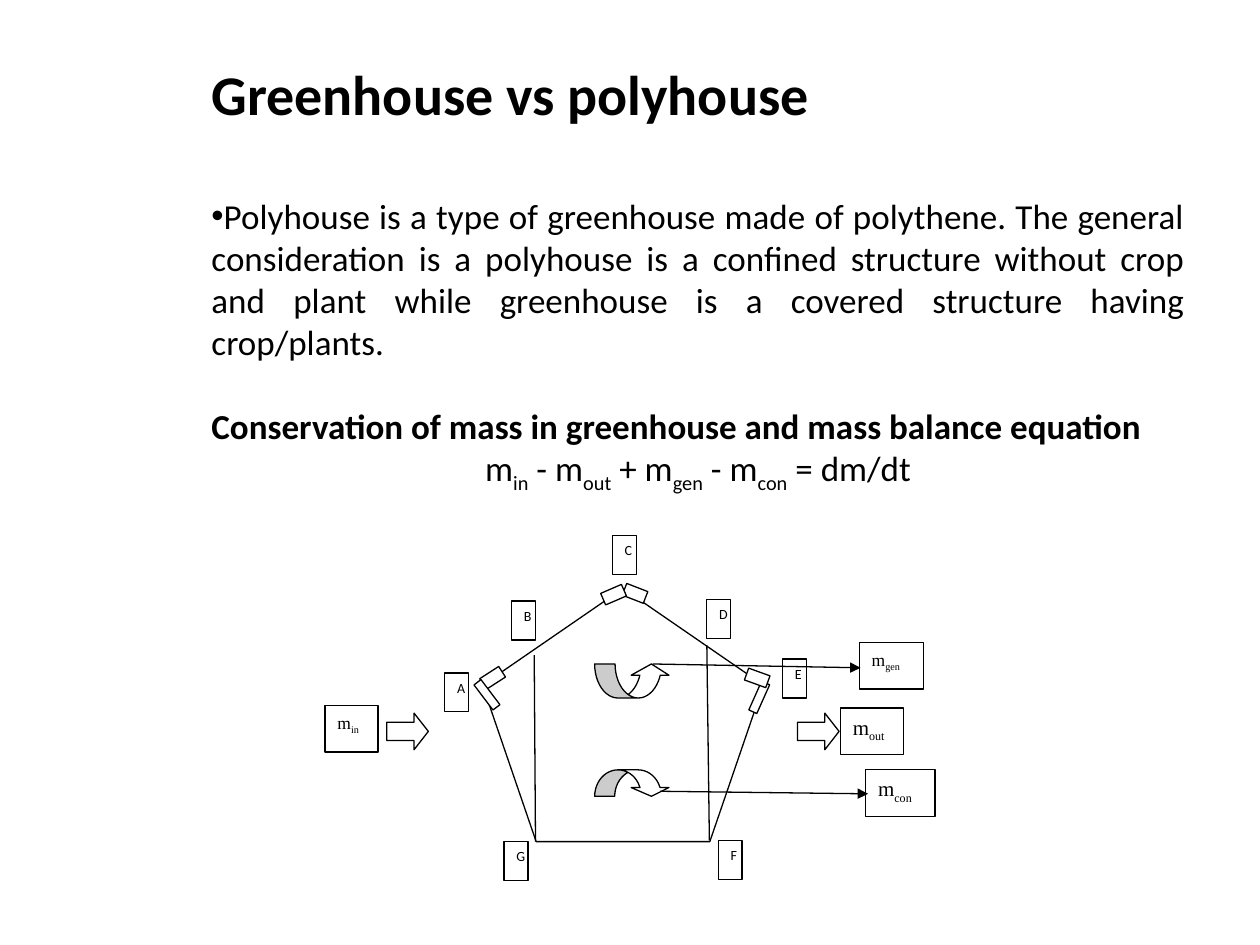
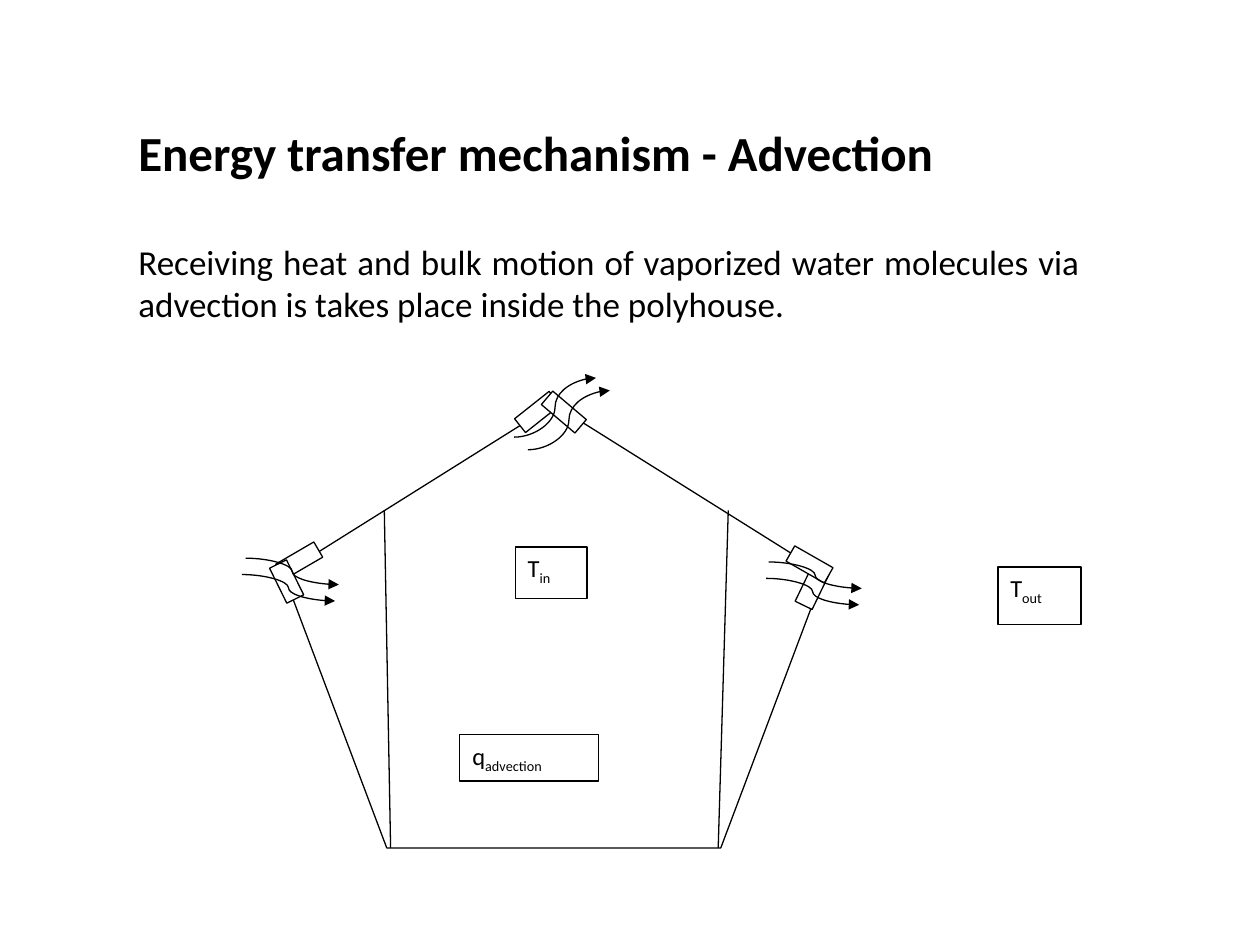
import pptx
import pptx.util
import pptx.dml.color
import pptx.enum.shapes
import pptx.enum.text
import pptx.oxml.ns
from dataclasses import dataclass
from lxml import etree

Inches, Pt = pptx.util.Inches, pptx.util.Pt
RGB = pptx.dml.color.RGBColor
SHAPE = pptx.enum.shapes.MSO_SHAPE
LINK = pptx.enum.shapes.MSO_CONNECTOR
ALIGN = pptx.enum.text.PP_ALIGN
qn = pptx.oxml.ns.qn


@dataclass(frozen=True)
class Theme:
    ink: RGB = RGB(0, 0, 0)
    paper: RGB = RGB(255, 255, 255)
    sans: str = "Calibri"
    serif: str = "Times New Roman"
    body: int = 20
    tag: int = 8
    line: float = 0.75
    leading: float = 1.22


T = Theme()
TAG_SIZE = (0.19, 0.31)
SIDE_SWEEP = (0.74, 0.21)
ROOF_SWEEP = (0.65, -0.47)

# Odd entries of "terms" are subscripts.
SLIDES = [
    dict(
        box=(1.58, 0.42, 7.92, 3.87),
        title="Greenhouse vs polyhouse",
        title_size=32,
        body=[
            dict(terms=["Polyhouse is a type of greenhouse made of polythene. The general "
                        "consideration is a polyhouse is a confined structure without crop and "
                        "plant while greenhouse is a covered structure having crop/plants."],
                 bullet="•", gap=32),
            dict(terms=["Conservation of mass in greenhouse and mass balance equation"],
                 bold=True, gap=T.body),
            dict(terms=["m", "in", " - m", "out", " + m", "gen", " - m", "con", " = dm/dt"],
                 align=ALIGN.CENTER),
        ],
        tags=[("A", 3.53, 5.34), ("B", 4.06, 4.77), ("C", 4.86, 4.25), ("D", 5.61, 4.76),
              ("E", 6.21, 5.23), ("F", 5.7, 6.67), ("G", 4, 6.68)],
        house=(3.83, 4.67, 2.23, 2.01),
        arrows=[(SHAPE.CURVED_UP_ARROW, (4.72, 5.27, 0.6, 0.27), (0.6, 1.2, 0.33)),
                (SHAPE.CURVED_DOWN_ARROW, (4.72, 6.11, 0.6, 0.21), (0.76, 1.52, 0.33)),
                (SHAPE.RIGHT_ARROW, (3.07, 5.66, 0.33, 0.29), (0.5, 0.39)),
                (SHAPE.RIGHT_ARROW, (6.33, 5.66, 0.33, 0.29), (0.5, 0.39))],
        vents=[((3.82, 5.33, 0.18, 0.1), 327.2), ((3.74, 5.48, 0.25, 0.07), 52.9),
               ((4.95, 4.66, 0.18, 0.1), 21.2), ((4.78, 4.67, 0.18, 0.1), 336.6),
               ((5.9, 5.5, 0.25, 0.07), 114.1), ((5.92, 5.33, 0.18, 0.1), 199.8)],
        walls=[(4.25, 6.68, 4.24, 5.2), (5.63, 6.67, 5.61, 5.12)],
        symbols=[(["m", "gen"], (6.82, 5.1, 0.51, 0.37), T.serif, 10),
                 (["m", "con"], (6.87, 6.11, 0.55, 0.37), T.serif, 12),
                 (["m", "in"], (2.58, 5.6, 0.42, 0.37), T.serif, 10),
                 (["m", "out"], (6.67, 5.62, 0.5, 0.37), T.serif, 12)],
        leaders=[(5.18, 5.27, 6.83, 5.3), (5.24, 6.28, 6.89, 6.3)],
        drafts=[],
    ),
    dict(
        box=(1, 0.92, 7.67, 2.02),
        title="Energy transfer mechanism - Advection",
        title_size=28,
        body=[
            dict(terms=["Receiving heat and bulk motion of vaporized water molecules via "
                        "advection is takes place inside the polyhouse."], gap=28),
        ],
        tags=[],
        house=(2.25, 3.21, 4.29, 3.52),
        arrows=[],
        vents=[((2.2, 4.38, 0.35, 0.14), 329.8), ((2.12, 4.54, 0.31, 0.15), 243.8),
               ((4.09, 3.2, 0.35, 0.14), 321.6), ((4.3, 3.2, 0.35, 0.14), 220.3),
               ((6.29, 4.59, 0.31, 0.15), 115.8), ((6.25, 4.41, 0.35, 0.14), 29.7)],
        walls=[(3.1, 6.73, 3.05, 4.05), (5.7, 6.73, 5.78, 4.05)],
        symbols=[(["T", "in"], (4.09, 4.34, 0.57, 0.41), T.sans, 14),
                 (["q", "advection"], (3.65, 5.83, 1.1, 0.37), T.sans, 14),
                 (["T", "out"], (7.92, 4.5, 0.66, 0.46), T.sans, 14)],
        leaders=[],
        drafts=[(1.95, 4.43, SIDE_SWEEP), (1.92, 4.56, SIDE_SWEEP),
                (6.08, 4.59, SIDE_SWEEP), (6.1, 4.46, SIDE_SWEEP),
                (4.19, 3.57, ROOF_SWEEP), (4.08, 3.47, ROOF_SWEEP)],
    ),
]


def add_terms(p, terms, size, font=T.sans, bold=False):
    for i, text in enumerate(terms):
        r = p.add_run()
        r.text = text
        r.font.name, r.font.size, r.font.bold = font, Pt(size), bold
        r.font.color.rgb = T.ink
        if i % 2:
            r._r.get_or_add_rPr().set("baseline", "-25000")


def add_bullet(p, char):
    pPr = p._p.get_or_add_pPr()
    pPr.set("marL", "0")
    pPr.set("indent", "0")
    etree.SubElement(pPr, qn("a:buFont")).set("typeface", "Arial")
    etree.SubElement(pPr, qn("a:buChar")).set("char", char)


def add_body(s, spec_):
    tf = s.shapes.add_textbox(*map(Inches, spec_["box"])).text_frame
    tf.word_wrap = True
    add_terms(tf.paragraphs[0], [spec_["title"]], spec_["title_size"], bold=True)
    for item in spec_["body"]:
        p = tf.add_paragraph()
        if "bullet" in item:
            add_bullet(p, item["bullet"])
        p.alignment = item.get("align", ALIGN.JUSTIFY)
        p.space_before = Pt(round(item.get("gap", 0) * T.leading))
        add_terms(p, item["terms"], T.body, bold=item.get("bold", False))


def add_outline(s, kind, at, rotation=0, adjust=()):
    sp = s.shapes.add_shape(kind, *map(Inches, at))
    sp.shadow.inherit = False
    sp.fill.solid()
    sp.fill.fore_color.rgb = T.paper
    sp.line.color.rgb = T.ink
    sp.line.width = Pt(T.line)
    sp.rotation = rotation
    for i, value in enumerate(adjust):
        sp.adjustments[i] = value
    return sp


def add_label(s, terms, at, font, size):
    tf = add_outline(s, SHAPE.RECTANGLE, at).text_frame
    tf.word_wrap = True
    tf.margin_right = 0
    tf.vertical_anchor = pptx.enum.text.MSO_ANCHOR.TOP
    p = tf.paragraphs[0]
    p.alignment = ALIGN.LEFT
    add_terms(p, terms, size, font)


def add_line(s, ends, kind=LINK.STRAIGHT, arrow=False):
    cn = s.shapes.add_connector(kind, *map(Inches, ends))
    cn.line.color.rgb = T.ink
    cn.line.width = Pt(T.line)
    if arrow:
        etree.SubElement(cn.line._get_or_add_ln(), qn("a:tailEnd")).set("type", "triangle")
    etree.SubElement(cn._element.spPr, qn("a:effectLst"))


def add_diagram(s, d):
    for letter, x, y in d["tags"]:
        add_label(s, [letter], (x, y, *TAG_SIZE), T.sans, T.tag)
    add_outline(s, SHAPE.REGULAR_PENTAGON, d["house"])
    for kind, at, adjust in d["arrows"]:
        add_outline(s, kind, at, adjust=adjust)
    for at, rotation in d["vents"]:
        add_outline(s, SHAPE.RECTANGLE, at, rotation)
    for ends in d["walls"]:
        add_line(s, ends)
    for symbol in d["symbols"]:
        add_label(s, *symbol)
    for ends in d["leaders"]:
        add_line(s, ends, arrow=True)
    for x, y, (dx, dy) in d["drafts"]:
        add_line(s, (x, y, x + dx, y + dy), LINK.CURVE, arrow=True)


def main():
    prs = pptx.Presentation()
    prs.slide_width, prs.slide_height = Inches(10), Inches(7.5)
    for d in SLIDES:
        s = prs.slides.add_slide(prs.slide_layouts[6])
        add_body(s, d)
        add_diagram(s, d)
    prs.save("out.pptx")


if __name__ == "__main__":
    main()
